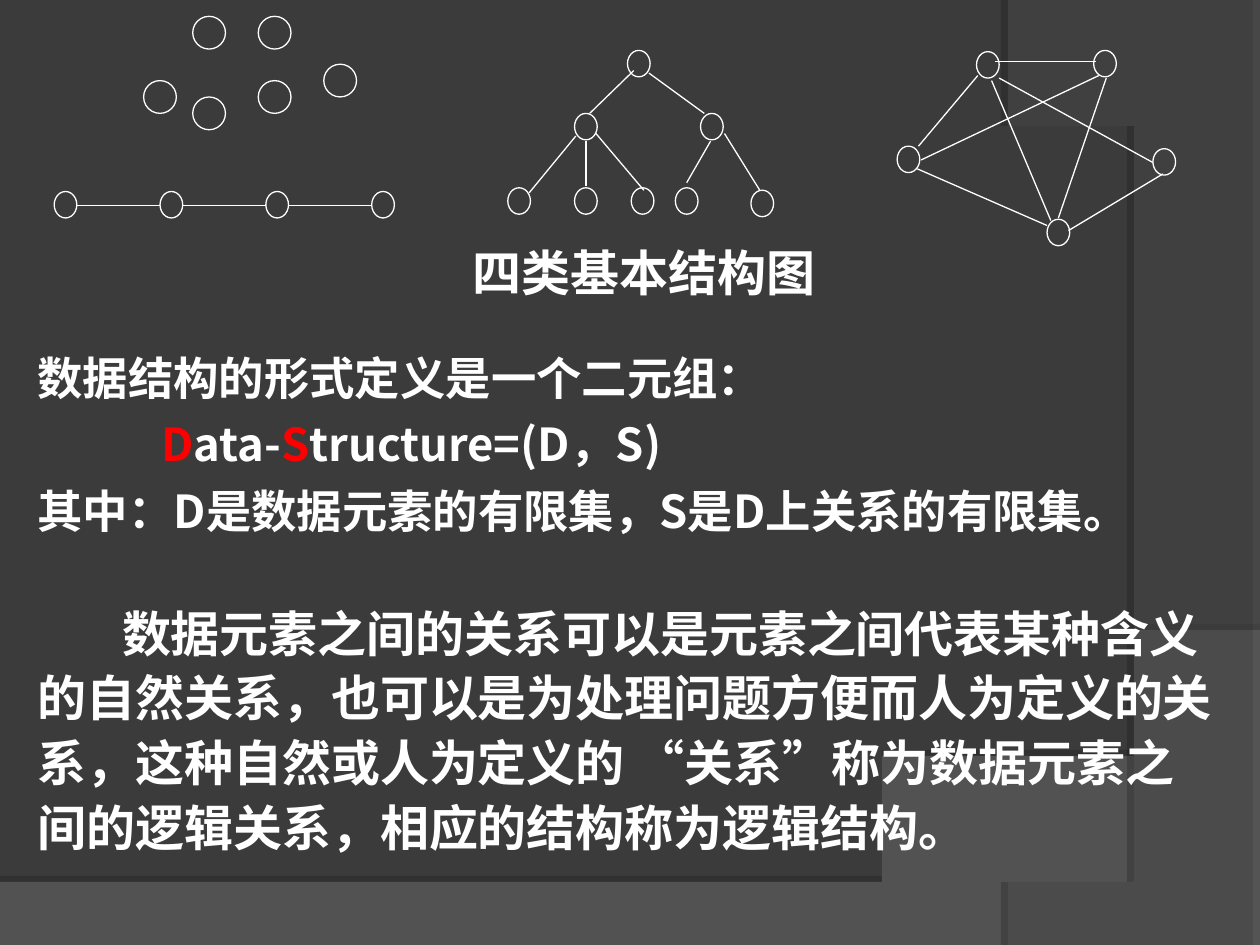
from lxml.etree import SubElement
from pptx import Presentation
from pptx.dml.color import RGBColor
from pptx.enum.shapes import MSO_CONNECTOR, MSO_SHAPE
from pptx.enum.text import MSO_ANCHOR, PP_ALIGN
from pptx.oxml.ns import qn
from pptx.util import Inches, Pt

THEME = {
    "back": "3B3B3B", "wave": "7C7C7C", "side": "595959", "shade": "000000",
    "ink": "FFFFFF", "accent": "FF0000", "font": "Noto Sans CJK SC",
    "title": 28, "definition": 25.9, "remark": 28, "line": 0.75,
}

# Content: each paragraph is (first-line indent, [(text, colour), ...])
TITLE = "四类基本结构图"
DEFINITION = [
    (0, [("数据结构的形式定义是一个二元组：", "ink")]),
    (0.98, [("D", "accent"), ("ata-", "ink"), ("S", "accent"),
            ("tructure=(D，S)", "ink")]),
    (0, [("其中：D是数据元素的有限集，S是D上关系的有限集。", "ink")]),
]
REMARK = [
    (0.67, [("数据元素之间的关系可以是元素之间代表某种含义的自然关系，"
             "也可以是为处理问题方便而人为定义的关系，这种自然或人为定义的 "
             "“关系”称为数据元素之间的逻辑关系，相应的结构称为逻辑结构。", "ink")]),
]

# Diagrams: node corners (left, top) and edges (x1, y1, x2, y2)
NODE = (0.18, 0.21)
SET_NODE = (0.26, 0.26)
SET_NODES = [(1.14, 0.64), (1.53, 0.13), (1.53, 0.77),
             (2.05, 0.13), (2.57, 0.51), (2.05, 0.64)]
CHAIN_NODES = [(0.43 + 0.84 * step, 1.52) for step in range(4)]
CHAIN_EDGES = [(left + NODE[0], 1.63, following, 1.63)
               for (left, _), (following, _) in zip(CHAIN_NODES, CHAIN_NODES[1:])]
TREE_NODES = [(4.98, 0.4), (4.56, 0.9), (5.56, 0.9), (4.03, 1.49),
              (4.56, 1.49), (5.01, 1.49), (5.36, 1.49), (5.96, 1.51)]
TREE_EDGES = [(5.03, 0.56, 4.68, 0.9), (5.15, 0.58, 5.59, 0.9),
              (4.57, 1.08, 4.2, 1.53), (4.65, 1.12, 4.65, 1.48),
              (4.73, 1.06, 5.11, 1.51), (5.64, 1.12, 5.45, 1.45),
              (5.75, 1.06, 6.03, 1.51)]
GRAPH_NODES = [(7.75, 0.41), (7.12, 1.16), (8.68, 0.4), (8.31, 1.74), (9.15, 1.18)]
GRAPH_EDGES = [(7.9, 0.49, 8.7, 0.49), (7.28, 1.34, 8.31, 1.79),
               (7.76, 0.6, 7.29, 1.16), (8.78, 0.62, 8.4, 1.73),
               (7.93, 0.62, 9.15, 1.29), (9.23, 1.38, 8.48, 1.83),
               (7.31, 1.27, 8.72, 0.6), (7.87, 0.64, 8.34, 1.75)]
DIAGRAMS = [
    (CHAIN_NODES, NODE, CHAIN_EDGES),
    (TREE_NODES, NODE, TREE_EDGES),
    (GRAPH_NODES, NODE, GRAPH_EDGES),
    (SET_NODES, SET_NODE, []),
]


def color(name):
    return RGBColor.from_string(THEME[name])


def curve(start, control1, control2, end, steps=60):
    """Points along a cubic curve."""
    points = []
    for step in range(steps + 1):
        t = step / steps
        weights = ((1 - t) ** 3, 3 * t * (1 - t) ** 2, 3 * t * t * (1 - t), t ** 3)
        points.append(tuple(
            sum(w * p[axis] for w, p in zip(weights, (start, control1, control2, end)))
            for axis in (0, 1)))
    return points


def set_alpha(color_node, percent):
    SubElement(color_node, qn("a:alpha"), val=str(percent * 1000))


def add_backdrop(page, points, fill, opacity, shade_opacity, distance, direction):
    builder = page.shapes.build_freeform(*points[0], scale=Inches(1))
    builder.add_line_segments(points[1:], close=True)
    shape = builder.convert_to_shape()
    shape.fill.solid()
    shape.fill.fore_color.rgb = color(fill)
    set_alpha(next(shape.element.spPr.iter(qn("a:srgbClr"))), opacity)
    shape.line.fill.background()
    shape.shadow.inherit = False
    shadow = SubElement(shape.element.spPr.find(qn("a:effectLst")), qn("a:outerShdw"),
                        blurRad="0", dist=str(Pt(distance)),
                        dir=str(direction * 60000), algn="ctr", rotWithShape="0")
    set_alpha(SubElement(shadow, qn("a:srgbClr"), val=THEME["shade"]), shade_opacity)


def style_line(line):
    line.color.rgb = color("ink")
    line.width = Pt(THEME["line"])


def add_diagram(page, nodes, size, edges):
    group = page.shapes.add_group_shape()
    for corner in nodes:
        node = group.shapes.add_shape(MSO_SHAPE.FLOWCHART_CONNECTOR,
                                      *map(Inches, corner + size))
        node.fill.background()
        node.shadow.inherit = False
        style_line(node.line)
    for ends in edges:
        edge = group.shapes.add_connector(MSO_CONNECTOR.STRAIGHT, *map(Inches, ends))
        SubElement(edge.element.spPr, qn("a:effectLst"))
        style_line(edge.line)


def style_font(span, size, ink="ink"):
    span.font.size = Pt(THEME[size])
    span.font.bold = True
    span.font.name = THEME["font"]
    span.font.color.rgb = color(ink)
    SubElement(span.font._element, qn("a:ea"), typeface=THEME["font"])


def add_text(page, place, paragraphs, size, pitch):
    box = page.shapes.add_textbox(*map(Inches, place))
    frame = box.text_frame
    frame.word_wrap = True
    for index, (indent, spans) in enumerate(paragraphs):
        para = frame.add_paragraph() if index else frame.paragraphs[0]
        para.line_spacing = Pt(pitch)
        para.space_before = Pt(7 if index else 0)
        if indent:
            para._p.get_or_add_pPr().set("indent", str(Inches(indent)))
        for words, ink in spans:
            span = para.add_run()
            span.text = words
            style_font(span, size, ink)


def main():
    deck = Presentation()
    deck.slide_width, deck.slide_height = Inches(10), Inches(7.5)
    page = deck.slides.add_slide(deck.slide_layouts[5])
    page.background.fill.solid()
    page.background.fill.fore_color.rgb = color("back")

    # Curved backdrop
    wave = [(0, 7.5), (10, 7.5)] + curve((10, 5.2), (5.59, 7.29), (3.91, 7.19), (0, 7.05))
    side = [(10, 0), (10, 7.5)] + curve((8.21, 7.5), (9.35, 6.19), (10.18, 3), (8, 0))
    add_backdrop(page, wave, "wave", 45, 35, 3.5, 270)
    add_backdrop(page, side, "side", 40, 45, 4, 180)

    # Title, raised above the backdrop
    title = page.shapes.title
    title.element.getparent().append(title.element)
    title.left, title.top, title.width, title.height = map(Inches, (3.36, 1.95, 3.5, 0.42))
    title.text_frame.text = TITLE
    title.text_frame.vertical_anchor = MSO_ANCHOR.MIDDLE
    heading = title.text_frame.paragraphs[0]
    heading.alignment = PP_ALIGN.CENTER
    style_font(heading.runs[0], "title")

    # Four structure diagrams
    for nodes, size, edges in DIAGRAMS:
        add_diagram(page, nodes, size, edges)

    # Body text
    add_text(page, (0.2, 2.73, 9.58, 1.97), DEFINITION, "definition", 31)
    add_text(page, (0.2, 4.69, 9.55, 2.16), REMARK, "remark", 37)
    deck.save("out.pptx")


if __name__ == "__main__":
    main()
